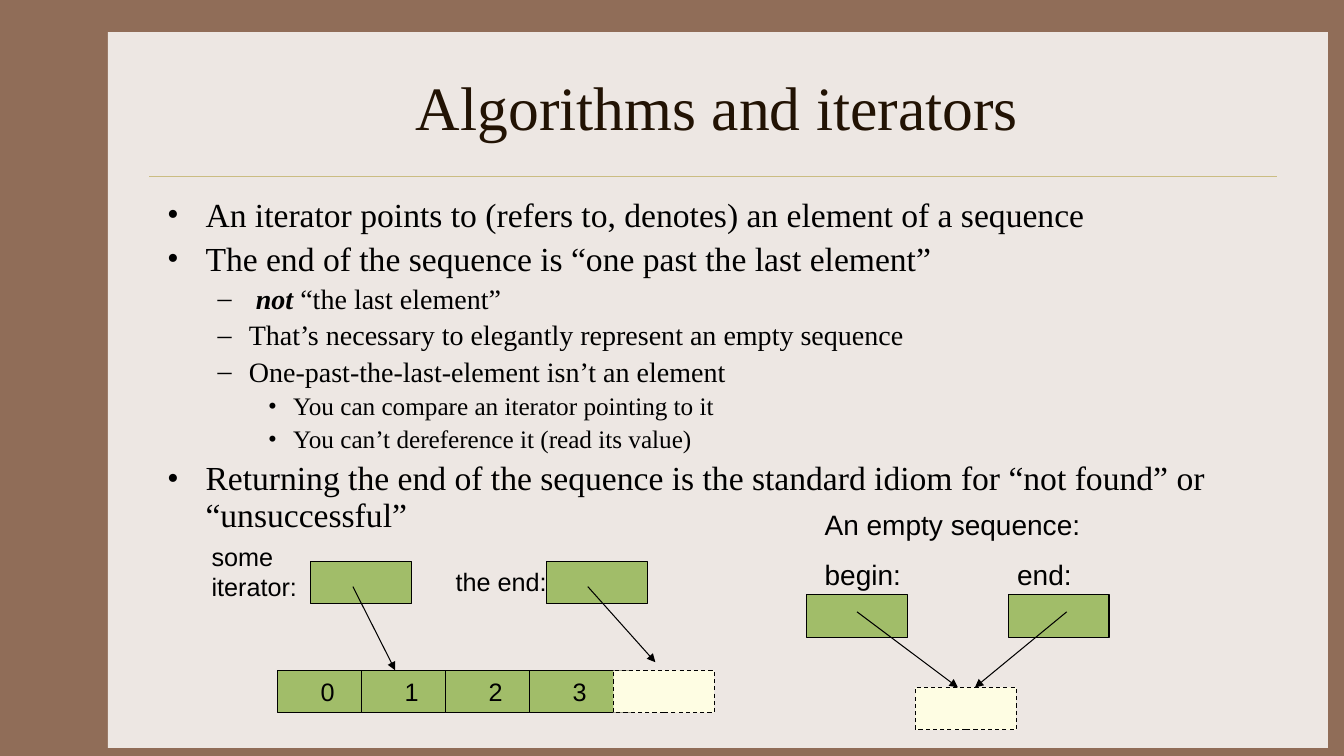
from dataclasses import dataclass

from lxml.etree import SubElement
from pptx import Presentation
from pptx.dml.color import RGBColor
from pptx.enum.dml import MSO_LINE_DASH_STYLE as Dash
from pptx.enum.shapes import MSO_CONNECTOR as Conn, MSO_SHAPE as Shape
from pptx.enum.text import MSO_ANCHOR as Anchor, PP_ALIGN as Align
from pptx.oxml.ns import qn
from pptx.util import Inches, Pt

BROWN = RGBColor(0x90, 0x6D, 0x58)
PAPER = RGBColor(0xED, 0xE7, 0xE3)
GOLD = RGBColor(0xCB, 0xBD, 0x83)
DARK = RGBColor(0x22, 0x13, 0x04)
BLACK = RGBColor(0, 0, 0)
GREEN = RGBColor(0xA1, 0xBD, 0x69)
CREAM = RGBColor(0xFE, 0xFD, 0xE3)
SERIF, SANS = "Times New Roman", "Arial"
CELL_W, CELL_H = 1, 0.42
ROW_X, ROW_Y, STEP = 2.75, 6.65, 5 / 6


@dataclass
class Level:
    size: int
    left: float
    hang: float
    mark: str
    gap: float


@dataclass
class Point:
    level: int
    text: str  # words between asterisks are bold italic


@dataclass
class Cell:
    x: float
    y: float
    text: str = ""
    empty: bool = False


@dataclass
class Arrow:
    x1: float
    y1: float
    x2: float
    y2: float


@dataclass
class Label:
    x: float
    y: float
    w: float
    h: float
    size: int
    lines: list[str]


LEVELS = [
    Level(24, 0.38, 0.38, "•", 5.5),
    Level(20, 0.81, 0.31, "–", 4.5),
    Level(18, 1.25, 0.25, "•", 4),
]
POINTS = [
    Point(0, "An iterator points to (refers to, denotes) an element of a sequence"),
    Point(0, "The end of the sequence is “one past the last element”"),
    Point(1, " *not *“the last element”"),
    Point(1, "That’s necessary to elegantly represent an empty sequence"),
    Point(1, "One-past-the-last-element isn’t an element"),
    Point(2, "You can compare an iterator pointing to it"),
    Point(2, "You can’t dereference it (read its value)"),
    Point(0, "Returning the end of the sequence is the standard idiom "
             "for “not found” or “unsuccessful”"),
]
CELLS = [
    Cell(3.08, 5.57),
    *[Cell(ROW_X + i * STEP, ROW_Y, str(i)) for i in range(4)],
    Cell(ROW_X + 4 * STEP, ROW_Y, empty=True),
    Cell(10, 5.9),
    Cell(8, 5.9),
    Cell(5.42, 5.57),
    Cell(9.08, 6.82, empty=True),
]
ARROWS = [
    Arrow(3.5, 5.82, 3.92, 6.65),
    Arrow(8.5, 6.07, 9.5, 6.82),
    Arrow(10.58, 6.07, 9.67, 6.82),
    Arrow(5.83, 5.82, 6.5, 6.57),
]
LABELS = [
    Label(4.42, 5.57, 1.17, 0.4, 18, ["the end:"]),
    Label(8.08, 4.99, 2.92, 0.94, 20, ["An empty sequence:", "begin:\tend:"]),
    Label(2, 5.32, 1.08, 0.7, 18, ["some iterator:"]),
]


def style(para, face: str, size: int, color: RGBColor) -> None:
    for run in para.runs:
        run.font.name, run.font.size = face, Pt(size)
        run.font.color.rgb = color


def add_box(slide, x: float, y: float, w: float, h: float):
    frame = slide.shapes.add_textbox(
        Inches(x), Inches(y), Inches(w), Inches(h)).text_frame
    frame.word_wrap = True
    return frame


def add_rect(slide, x: float, y: float, w: float, h: float, fill: RGBColor):
    rect = slide.shapes.add_shape(
        Shape.RECTANGLE, Inches(x), Inches(y), Inches(w), Inches(h))
    rect.shadow.inherit = False
    rect.fill.solid()
    rect.fill.fore_color.rgb = fill
    return rect


def add_line(slide, path: Arrow, color: RGBColor, width: float, head: bool) -> None:
    line = slide.shapes.add_connector(
        Conn.STRAIGHT, Inches(path.x1), Inches(path.y1),
        Inches(path.x2), Inches(path.y2))
    line.line.color.rgb = color
    line.line.width = Pt(width)
    if head:
        SubElement(line.line._get_or_add_ln(), qn("a:tailEnd"), type="triangle")
    SubElement(line._element.spPr, qn("a:effectLst"))


def add_point(frame, i: int, point: Point) -> None:
    para = frame.add_paragraph() if i else frame.paragraphs[0]
    level = LEVELS[point.level]
    para.level = point.level
    props = para._p.get_or_add_pPr()
    props.set("marL", str(Inches(level.left)))
    props.set("indent", str(-Inches(level.hang)))
    SubElement(props, qn("a:buFont"), typeface=SERIF)
    SubElement(props, qn("a:buChar"), char=level.mark)
    para.line_spacing = 0.9
    if i:
        para.space_before = Pt(level.gap)
    for k, part in enumerate(point.text.split("*")):
        run = para.add_run()
        run.text = part
        if k % 2:
            run.font.bold = run.font.italic = True
    style(para, SERIF, level.size, BLACK)


def add_cell(slide, cell: Cell) -> None:
    rect = add_rect(slide, cell.x, cell.y, CELL_W, CELL_H,
                    CREAM if cell.empty else GREEN)
    rect.line.color.rgb = BLACK
    rect.line.width = Pt(0.75)
    if cell.empty:
        rect.line.dash_style = Dash.DASH
    if cell.text:
        frame = rect.text_frame
        frame.text = cell.text
        frame.word_wrap = False
        frame.vertical_anchor = Anchor.MIDDLE
        frame.paragraphs[0].alignment = Align.CENTER
        style(frame.paragraphs[0], SANS, 18, BLACK)


def add_label(slide, label: Label) -> None:
    frame = add_box(slide, label.x, label.y, label.w, label.h)
    for i, text in enumerate(label.lines):
        para = frame.add_paragraph() if i else frame.paragraphs[0]
        para.text = text
        if i:
            para.space_before = Pt(11.5)
        if "\t" in text:
            tabs = SubElement(para._p.get_or_add_pPr(), qn("a:tabLst"))
            SubElement(tabs, qn("a:tab"), pos=str(Inches(1.91)), algn="l")
        style(para, SANS, label.size, BLACK)


def main() -> None:
    deck = Presentation()
    deck.slide_width, deck.slide_height = Inches(13.33), Inches(7.5)
    slide = deck.slides.add_slide(deck.slide_layouts[6])

    # Backdrop
    slide.background.fill.solid()
    slide.background.fill.fore_color.rgb = BROWN
    add_rect(slide, 1.07, 0.32, 12.1, 7.1, PAPER).line.fill.background()
    add_line(slide, Arrow(1.48, 1.75, 12.67, 1.75), GOLD, 0.25, False)

    # Title
    title = add_box(slide, 1.56, 0.42, 11.11, 1.25)
    title.text = "Algorithms and iterators"
    title.vertical_anchor = Anchor.MIDDLE
    title.paragraphs[0].alignment = Align.CENTER
    style(title.paragraphs[0], SERIF, 44, DARK)

    # Bullets
    body = add_box(slide, 1.56, 1.92, 11.11, 4.5)
    for i, point in enumerate(POINTS):
        add_point(body, i, point)

    # Diagrams
    for cell in CELLS:
        add_cell(slide, cell)
    for arrow in ARROWS:
        add_line(slide, arrow, BLACK, 0.75, True)
    for label in LABELS:
        add_label(slide, label)

    deck.save("out.pptx")


if __name__ == "__main__":
    main()
